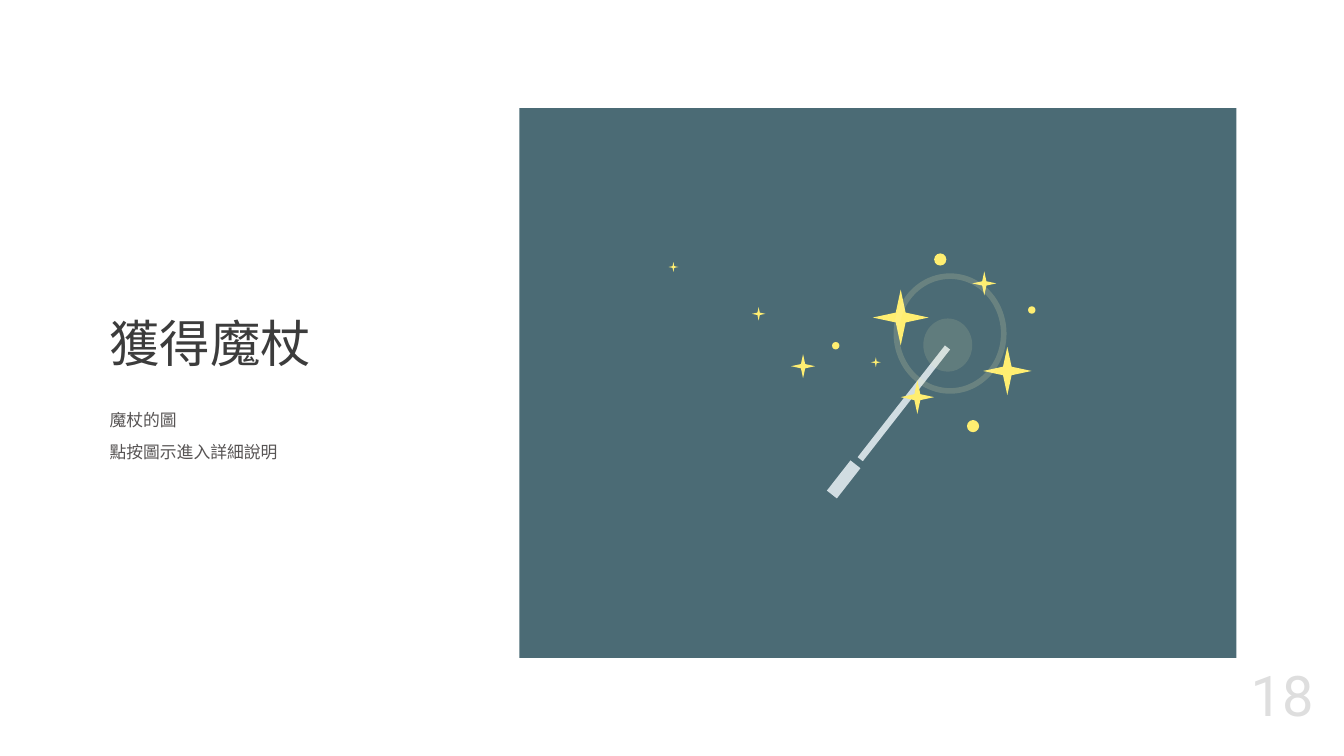
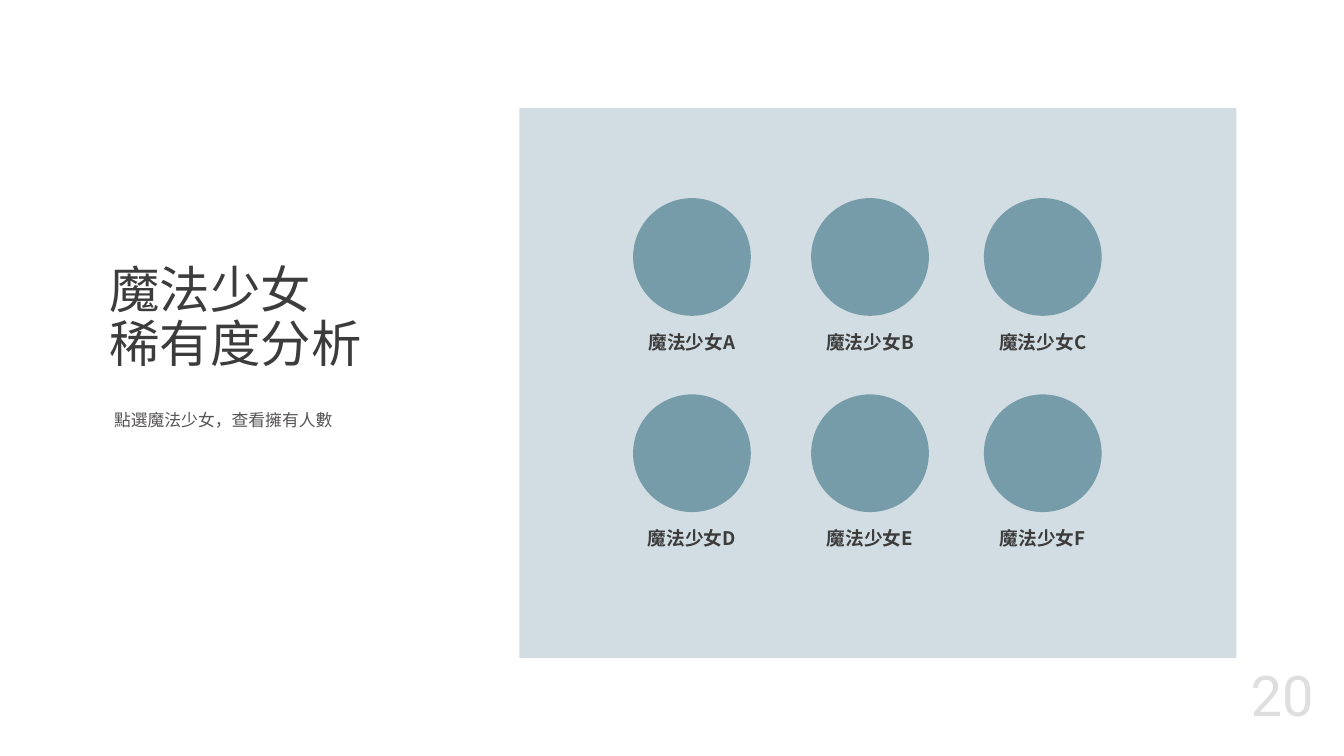
from lxml import etree
from pptx import Presentation
from pptx.dml.color import RGBColor
from pptx.enum.shapes import MSO_SHAPE
from pptx.enum.text import MSO_ANCHOR, PP_ALIGN
from pptx.oxml.ns import qn
from pptx.util import Cm, Pt

RECT, OVAL, STAR = MSO_SHAPE.RECTANGLE, MSO_SHAPE.OVAL, MSO_SHAPE.STAR_4_POINT
LEFT, CENTER, RIGHT, JUSTIFY = PP_ALIGN.LEFT, PP_ALIGN.CENTER, PP_ALIGN.RIGHT, PP_ALIGN.JUSTIFY
TOP, BOTTOM = MSO_ANCHOR.TOP, MSO_ANCHOR.BOTTOM

SANS, NUMERALS = "Noto Sans CJK SC", "Roboto"
INK, BODY_GREY, NUMBER_GREY = "3C3C3C", "575454", "DEDEDE"
DEEP_TEAL, TEAL, MIST = "4B6B75", "779CA9", "D1DDE2"
GOLD, PALE_GOLD = "FFEE71", "FFF7B9"


def draw(slide, kind, box, color, angle=0, opacity=100, outline=0):
    shape = slide.shapes.add_shape(kind, *[Cm(v) for v in box])
    shape.shadow.inherit = False
    shape.rotation = angle
    if outline:
        shape.fill.background()
        shape.line.width = Pt(outline)
        paint = shape.line.fill
    else:
        shape.line.fill.background()
        paint = shape.fill
    paint.solid()
    paint.fore_color.rgb = RGBColor.from_string(color)
    if opacity < 100:
        tint = next(shape._element.spPr.iter(qn("a:srgbClr")))
        etree.SubElement(tint, qn("a:alpha"), val=str(opacity * 1000))


def write(slide, box, text, size, color, align=LEFT, spacing=1.0,
          anchor=TOP, bold=False, face=SANS):
    frame = slide.shapes.add_textbox(*[Cm(v) for v in box]).text_frame
    frame.word_wrap = True
    frame.vertical_anchor = anchor
    frame.text = text
    for paragraph in frame.paragraphs:
        paragraph.alignment = align
        paragraph.line_spacing = spacing
        font = paragraph.font
        font.size, font.bold, font.name = Pt(size), bold, face
        font.color.rgb = RGBColor.from_string(color)
        defaults = paragraph._p.pPr.find(qn("a:defRPr"))
        etree.SubElement(defaults, qn("a:ea"), typeface=face)


deck = Presentation()
deck.slide_width, deck.slide_height = Cm(50.8), Cm(28.58)

pages = [
    ("獲得魔杖", "魔杖的圖\n點按圖示進入詳細說明", 3.89, DEEP_TEAL, "18"),
    ("魔法少女\v稀有度分析", "點選魔法少女，查看擁有人數", 4.06, MIST, "20"),
]
for title, body, body_left, panel_color, number in pages:
    slide = deck.slides.add_slide(deck.slide_layouts[6])
    draw(slide, RECT, (19.63, 4.09, 27.1, 20.78), panel_color)
    write(slide, (3.89, 5.87, 12.55, 8.38), title, 54, INK, spacing=0.9, anchor=BOTTOM)
    write(slide, (body_left, 14.91, 12.55, 9.75), body, 18, BODY_GREY, JUSTIFY, 1.6)
    write(slide, (44.9, 24.83, 5, 2.85), number, 60, NUMBER_GREY, RIGHT, face=NUMERALS)

wand_slide, girls_slide = deck.slides

sparkles = [
    (STAR, 32.99, 10.95, 2.11),
    (STAR, 34.04, 14.38, 1.27),
    (STAR, 37.16, 13.11, 1.83),
    (STAR, 29.9, 13.39, 0.91),
    (STAR, 36.75, 10.26, 0.91),
    (STAR, 28.42, 11.61, 0.51),
    (STAR, 25.27, 9.91, 0.37),
    (STAR, 32.92, 13.51, 0.37),
    (OVAL, 35.31, 9.58, 0.46),
    (OVAL, 38.86, 11.58, 0.28),
    (OVAL, 31.45, 12.93, 0.28),
    (OVAL, 36.55, 15.88, 0.46),
]
draw(wand_slide, RECT, (34.04, 12.57, 0.25, 5.36), MIST, angle=38)
for kind, left, top, size in sparkles:
    draw(wand_slide, kind, (left, top, size, size), GOLD)
draw(wand_slide, OVAL, (34.9, 12.04, 1.85, 2.01), PALE_GOLD, opacity=12)
draw(wand_slide, OVAL, (33.88, 10.44, 4.06, 4.34), PALE_GOLD, opacity=17, outline=6)
draw(wand_slide, RECT, (31.65, 17.4, 0.48, 1.45), MIST, angle=38)

girl_size, label_width = 4.45, 10.26
column_lefts = (23.93, 30.66, 37.19)
for index, letter in enumerate("ABCDEF"):
    row, column = divmod(index, 3)
    left, top = column_lefts[column], 7.49 + 7.42 * row
    draw(girls_slide, OVAL, (left, top, girl_size, girl_size), TEAL)
    label_left = left + (girl_size - label_width) / 2
    write(girls_slide, (label_left, top + 4.88, label_width, 1.12),
          f"魔法少女{letter}", 20, INK, CENTER, bold=True)

deck.save("out.pptx")
